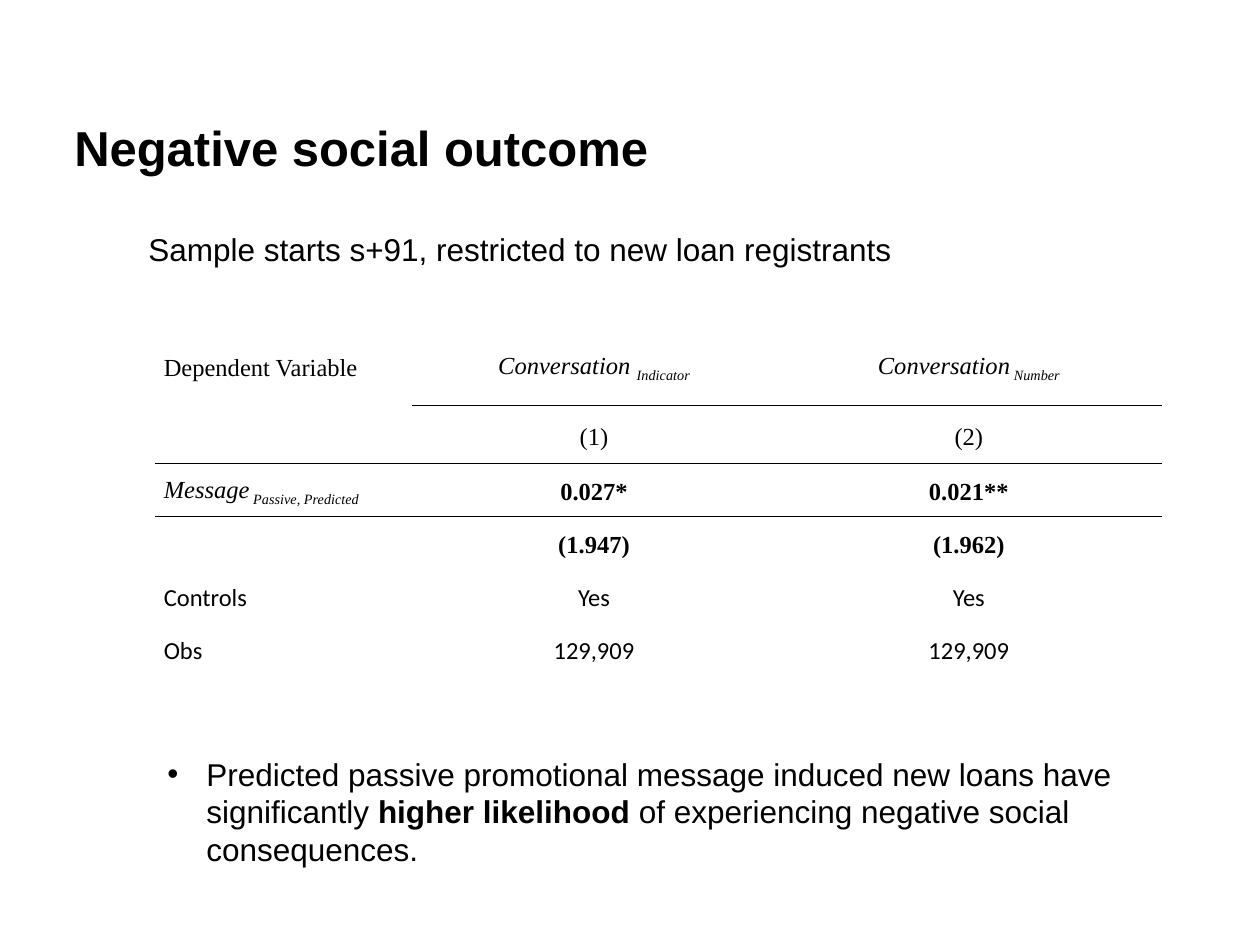
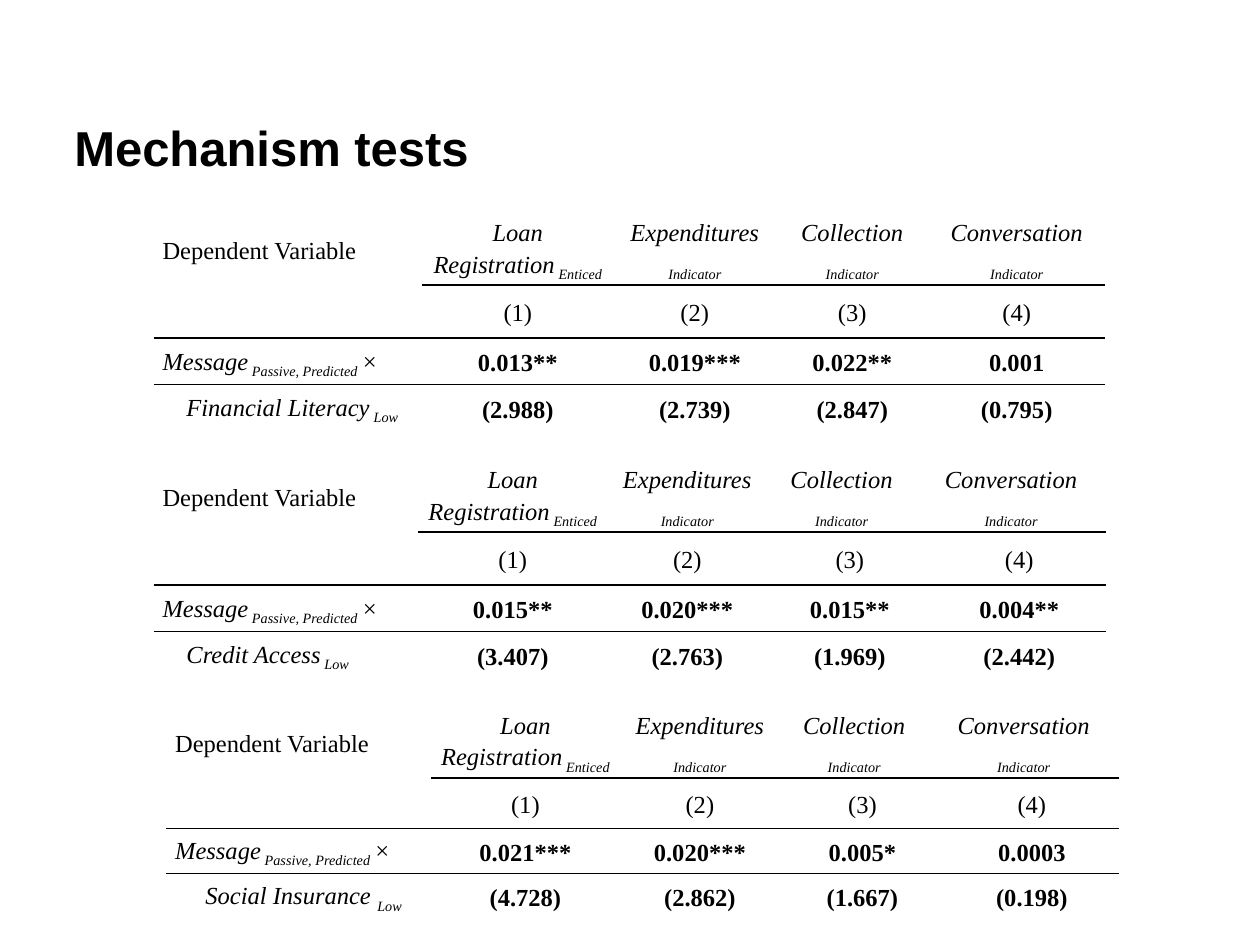
from lxml import etree
from pptx import Presentation
from pptx.dml.color import RGBColor
from pptx.enum.text import MSO_ANCHOR, PP_ALIGN
from pptx.oxml.ns import qn
from pptx.util import Inches, Pt

CENTER, LEFT = PP_ALIGN.CENTER, PP_ALIGN.LEFT
MIDDLE = MSO_ANCHOR.MIDDLE
COLORS = {"ink": "000000", "paper": "FFFFFF"}
SANS, SERIF, BODY = "Arial", "Times New Roman", "Calibri"
PLAIN_STYLE = "{2D5ABB26-0587-4C30-8999-92F81FD0307C}"
BLANK = 6

OUTCOMES = ["Dependent Variable", "Loan Registration_ Enticed",
            "Expenditures _Indicator", "Collection _Indicator",
            "Conversation _Indicator"]
NUMBERS = ["", "(1)", "(2)", "(3)", "(4)"]
MESSAGE = "Message_ Passive, Predicted _×"
SPLIT_COLS = [2.1, 1.5, 1.27, 1.18, 0.13, 1.38]
# left, top, column widths, row heights, label, label indent, effects, t-values
TESTS = [
    (1.22, 1.69, [2.13, 1.52, 1.29, 1.21, 1.4], [0.57, 0.42, 0.37, 0.37],
     "Financial Literacy_ Low", 0.19,
     ["0.013**", "0.019***", "0.022**", "0.001"],
     ["(2.988)", "(2.739)", "(2.847)", "(0.795)"]),
    (1.22, 3.65, SPLIT_COLS, [0.57, 0.42, 0.37, 0.37],
     "Credit Access_ Low", 0.19,
     ["0.015**", "0.020***", "0.015**", "0.004**"],
     ["(3.407)", "(2.763)", "(1.969)", "(2.442)"]),
    (1.32, 5.6, SPLIT_COLS, [0.54, 0.4, 0.36, 0.36],
     "Social Insurance _Low", 0.24,
     ["0.021***", "0.020***", "0.005*", "0.0003"],
     ["(4.728)", "(2.862)", "(1.667)", "(0.198)"]),
]


def style(font, size, face, bold=False, italic=False):
    font.size, font.name = Pt(size), face
    font.bold, font.italic = bold, italic
    font.color.rgb = RGBColor.from_string(COLORS["ink"])


def add_text(slide, box, parts, size=18, inset=None):
    """Add one paragraph made of (text, bold) parts."""
    frame = slide.shapes.add_textbox(*map(Inches, box)).text_frame
    frame.word_wrap = True
    if inset is not None:
        frame.margin_left = frame.margin_right = Inches(inset)
        frame.margin_top = frame.margin_bottom = Inches(inset)
    para = frame.paragraphs[0]
    for text, bold in parts:
        run = para.add_run()
        run.text = text
        style(run.font, size, SANS, bold)
    return para


def add_bullet(para, indent):
    props = para._p.get_or_add_pPr()
    props.set("marL", str(Inches(indent)))
    props.set("indent", str(-Inches(indent)))
    etree.SubElement(props, qn("a:buFont"), typeface=SANS)
    etree.SubElement(props, qn("a:buChar"), char="•")


def add_slide(deck, title):
    slide = deck.slides.add_slide(deck.slide_layouts[BLANK])
    slide.background.fill.solid()
    slide.background.fill.fore_color.rgb = RGBColor.from_string(COLORS["paper"])
    add_text(slide, (0.59, 0.93, 6.94, 0.36), [(title, True)], 28, 0)
    return slide


def add_rule(cell, sides):
    """Draw a 1 pt line on the given sides, T before B."""
    props = cell._tc.get_or_add_tcPr()
    for spot, side in enumerate(sides):
        line = etree.Element(qn(f"a:ln{side}"), w=str(Pt(1)))
        fill = etree.SubElement(line, qn("a:solidFill"))
        etree.SubElement(fill, qn("a:srgbClr"), val=COLORS["ink"])
        props.insert(spot, line)


def fill_cell(cell, text, align, face, bold):
    """Write text in which underscores switch subscript on and off."""
    para = cell.text_frame.paragraphs[0]
    para.alignment = align
    para.line_spacing, para.space_after = 1.15, Pt(10)
    style(para.font, 14, face)
    for spot, piece in enumerate(text.split("_") if text else []):
        run = para.add_run()
        run.text = piece
        style(run.font, 14, face, bold, "_" in text)
        if spot % 2:
            run._r.get_or_add_rPr().set("baseline", "-25000")


def format_cell(cell, row, col):
    cell.fill.background()
    cell.vertical_anchor = MIDDLE
    cell.margin_left = cell.margin_right = Inches(0.07)
    cell.margin_top = cell.margin_bottom = 0
    top = row == 2 or (row == 1 and col > 0)
    bottom = row == 1 or (row == 0 and col > 0)
    add_rule(cell, "T" * top + "B" * bottom)


def add_results(slide, left, top, cols, heights, rows):
    """Add a regression table; a sixth column is merged with a neighbour."""
    frame = slide.shapes.add_table(
        len(heights), len(cols), Inches(left), Inches(top),
        Inches(sum(cols)), Inches(sum(heights)))
    table = frame.table
    table.first_row = table.horz_banding = False
    frame._element.xpath(".//a:tableStyleId")[0].text = PLAIN_STYLE
    for column, width in zip(table.columns, cols):
        column.width = Inches(width)
    for r, (height, texts) in enumerate(zip(heights, rows)):
        table.rows[r].height = Inches(height)
        for c in range(len(cols)):
            format_cell(table.cell(r, c), r, c)
        slots = list(range(len(texts)))
        if len(cols) > len(texts):
            first = 4 if r == 0 else 3
            table.cell(r, first).merge(table.cell(r, first + 1))
            slots[-1] += r > 0
        for c, text in zip(slots, texts):
            fill_cell(table.cell(r, c), text, CENTER if c else LEFT,
                      BODY if r > 3 else SERIF, r in (2, 3) and c > 0)
    return table


def add_social(deck):
    slide = add_slide(deck, "Negative social outcome")
    rows = [
        ["Dependent Variable", "Conversation _Indicator", "Conversation_ Number"],
        ["", "(1)", "(2)"],
        ["Message_ Passive, Predicted", "0.027*", "0.021**"],
        ["", "(1.947)", "(1.962)"],
        ["Controls", "Yes", "Yes"],
        ["Obs", "129,909", "129,909"],
    ]
    add_results(slide, 1.23, 2.59, [2.04, 2.89, 3.06],
                [0.63, 0.46] + [0.42] * 4, rows)
    para = add_text(slide, (1.23, 5.94, 7.78, 1.01), [
        ("Predicted passive promotional message induced new loans have "
         "significantly ", False),
        ("higher likelihood ", True),
        ("of experiencing negative social consequences.", False)])
    add_bullet(para, 0.31)
    add_text(slide, (1.08, 1.78, 7.19, 0.4),
             [("Sample starts s+91, restricted to new loan registrants", False)])


def add_tests(deck):
    slide = add_slide(deck, "Mechanism tests")
    for left, top, cols, heights, label, indent, effects, scores in TESTS:
        rows = [OUTCOMES, NUMBERS, [MESSAGE] + effects, [label] + scores]
        table = add_results(slide, left, top, cols, heights, rows)
        para = table.cell(3, 0).text_frame.paragraphs[0]
        para._p.get_or_add_pPr().set("marL", str(Inches(indent)))


def main():
    deck = Presentation()
    deck.slide_width, deck.slide_height = Inches(10), Inches(7.5)
    add_social(deck)
    add_tests(deck)
    deck.save("out.pptx")


if __name__ == "__main__":
    main()
